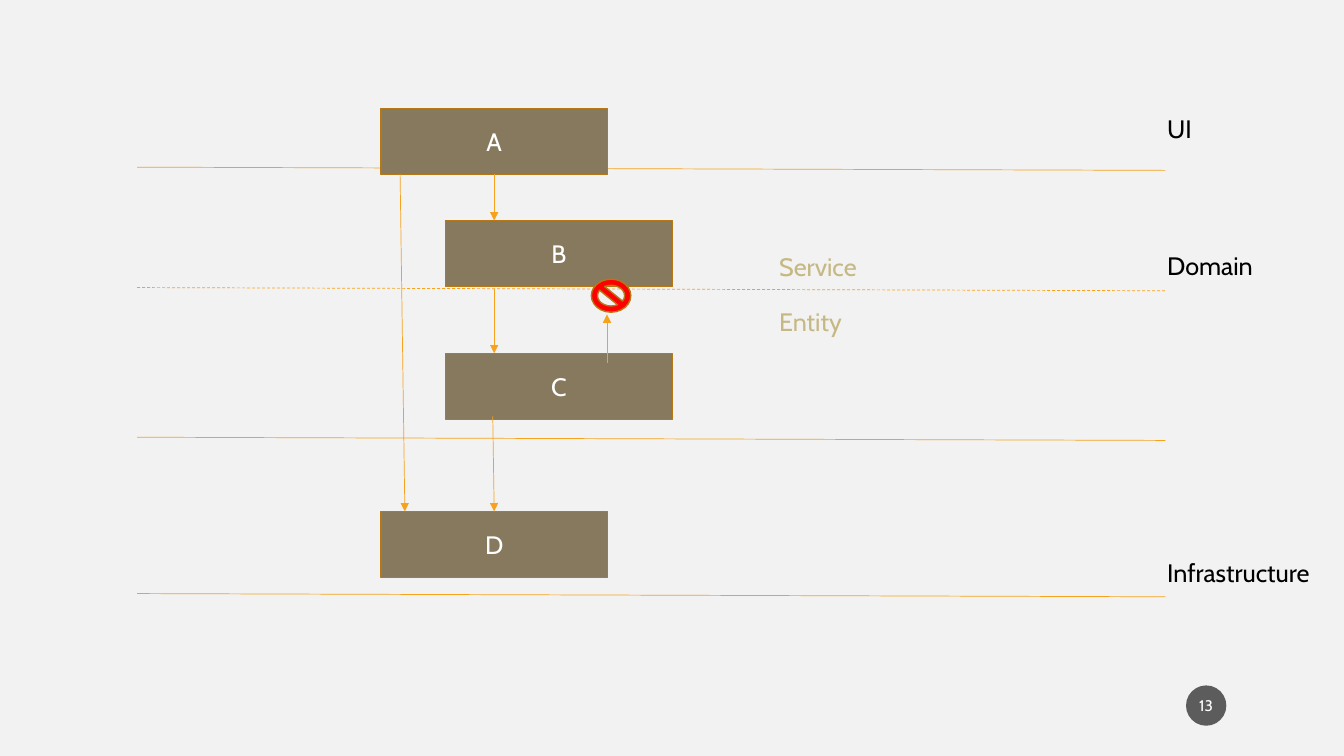
from lxml.etree import SubElement
from pptx import Presentation
from pptx.dml.color import RGBColor
from pptx.enum.dml import MSO_LINE
from pptx.enum.shapes import MSO_CONNECTOR, MSO_SHAPE
from pptx.enum.text import MSO_ANCHOR, MSO_AUTO_SIZE, PP_ALIGN
from pptx.oxml.ns import qn
from pptx.util import Pt

COLORS = {
    "background": "F2F2F2",
    "line": "F6A21D",
    "box": "87795D",
    "border": "B67815",
    "forbidden": "FF0000",
    "badge": "1D1D1D",
    "layer": "000000",
    "sublayer": "C5B883",
    "white": "FFFFFF",
}
BOTTOM, TOP = 2, 0
BOX_WIDTH, BOX_HEIGHT = 162, 47.2
LEFT_COLUMN, RIGHT_COLUMN = 272, 318.2
DIVIDER_LEFT, DIVIDER_RIGHT, DIVIDER_DROP = 98, 832.5, 2.3
LAYER_LEFT, SUBLAYER_LEFT = 826.6, 549.4


class LayerDiagram:
    """Draws the elements of a layer diagram in one style on one slide."""

    def __init__(self, slide, font_name):
        self.slide = slide
        self.font_name = font_name
        fill = slide.background.fill
        fill.solid()
        fill.fore_color.rgb = self.color("background")

    def color(self, name):
        return RGBColor.from_string(COLORS[name])

    def add_text(self, shape, text, color, size=18):
        run = shape.text_frame.paragraphs[0].add_run()
        run.text = text
        run.font.name = self.font_name
        run.font.size = Pt(size)
        run.font.color.rgb = self.color(color)

    def label(self, text, left, top, width, color):
        shape = self.slide.shapes.add_textbox(Pt(left), Pt(top), Pt(width), Pt(29))
        shape.text_frame.word_wrap = True
        shape.text_frame.auto_size = MSO_AUTO_SIZE.SHAPE_TO_FIT_TEXT
        self.add_text(shape, text, color)

    def shape(self, kind, left, top, width, height, fill, border=None):
        shape = self.slide.shapes.add_shape(kind, Pt(left), Pt(top), Pt(width), Pt(height))
        shape.shadow.inherit = False
        shape.fill.solid()
        shape.fill.fore_color.rgb = self.color(fill)
        if border:
            shape.line.color.rgb = self.color(border)
            shape.line.width = Pt(1)
        else:
            shape.line.fill.background()
        frame = shape.text_frame
        frame.vertical_anchor = MSO_ANCHOR.MIDDLE
        frame.paragraphs[0].alignment = PP_ALIGN.CENTER
        return shape

    def box(self, text, left, top):
        shape = self.shape(MSO_SHAPE.RECTANGLE, left, top, BOX_WIDTH, BOX_HEIGHT, "box", "border")
        self.add_text(shape, text, "white")
        return shape

    def badge(self, text, left, top, size):
        shape = self.shape(MSO_SHAPE.OVAL, left, top, size, size, "badge")
        frame = shape.text_frame
        frame.margin_left = frame.margin_right = Pt(1.4)
        color = shape._element.spPr.find(qn("a:solidFill"))[0]
        SubElement(color, qn("a:alpha"), val="70000")
        self.add_text(shape, text, "white", 11)

    def line(self, start, end, dashed=False):
        connector = self.slide.shapes.add_connector(
            MSO_CONNECTOR.STRAIGHT, *(Pt(value) for value in (*start, *end))
        )
        connector.line.color.rgb = self.color("line")
        connector.line.width = Pt(0.5)
        if dashed:
            connector.line.dash_style = MSO_LINE.DASH
        SubElement(connector._element.spPr, qn("a:effectLst"))
        return connector

    def arrow(self, start, end, source=None, target=None):
        connector = self.line(start, end)
        outline = connector._element.spPr.find(qn("a:ln"))
        SubElement(outline, qn("a:tailEnd"), type="triangle")
        if source:
            connector.begin_connect(source, BOTTOM)
        if target:
            connector.end_connect(target, TOP)


def main():
    presentation = Presentation()
    presentation.slide_width, presentation.slide_height = Pt(960), Pt(540)
    slide = presentation.slides.add_slide(presentation.slide_layouts[6])
    diagram = LayerDiagram(slide, "Cabin")

    for top, dashed in ((119.4, False), (205.4, True), (312.3, False), (424, False)):
        diagram.line((DIVIDER_LEFT, top), (DIVIDER_RIGHT, top + DIVIDER_DROP), dashed)

    for text, left, top, width, color in (
        ("UI", LAYER_LEFT, 77.3, 38, "layer"),
        ("Domain", LAYER_LEFT, 175.2, 80, "layer"),
        ("Infrastructure", LAYER_LEFT, 394.6, 133, "layer"),
        ("Service", SUBLAYER_LEFT, 176.2, 78.5, "sublayer"),
        ("Entity", SUBLAYER_LEFT, 215.3, 78.5, "sublayer"),
    ):
        diagram.label(text, left, top, width, color)

    box_a = diagram.box("A", LEFT_COLUMN, 77.3)
    diagram.box("B", RIGHT_COLUMN, 157.5)
    diagram.box("C", RIGHT_COLUMN, 252.4)
    box_d = diagram.box("D", LEFT_COLUMN, 365.3)

    middle = LEFT_COLUMN + BOX_WIDTH / 2
    diagram.arrow((285.8, 124.5), (289.2, 365.3))
    diagram.arrow((middle, 124.5), (middle, 157.5), source=box_a)
    diagram.arrow((middle, 206.4), (middle, 252.4))
    diagram.arrow((352, 297.4), (middle, 365.3), target=box_d)
    diagram.arrow((433.6, 259), (433.6, 224.6))
    diagram.shape(MSO_SHAPE.NO_SYMBOL, 422.4, 199.4, 28.2, 23.6, "forbidden", "border")

    diagram.badge("13", 847.2, 489.6, 28.8)
    presentation.save("out.pptx")


if __name__ == "__main__":
    main()
